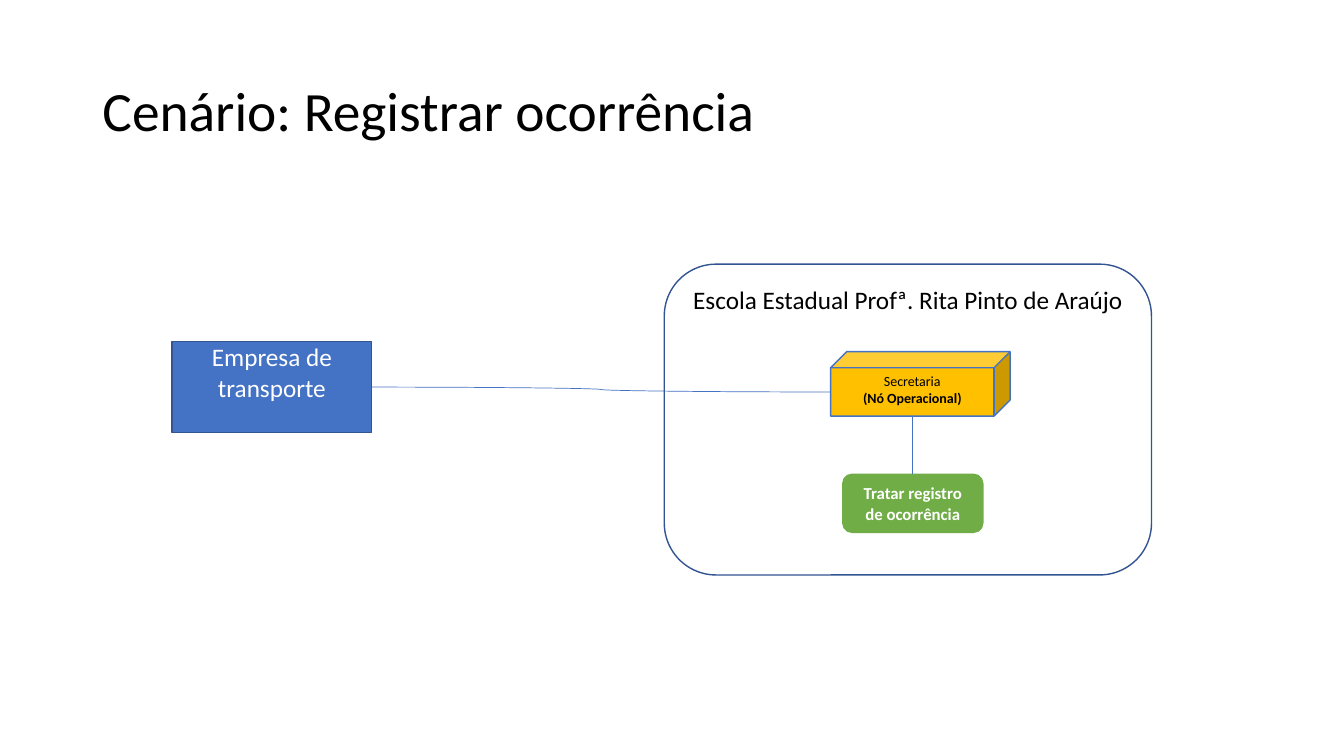
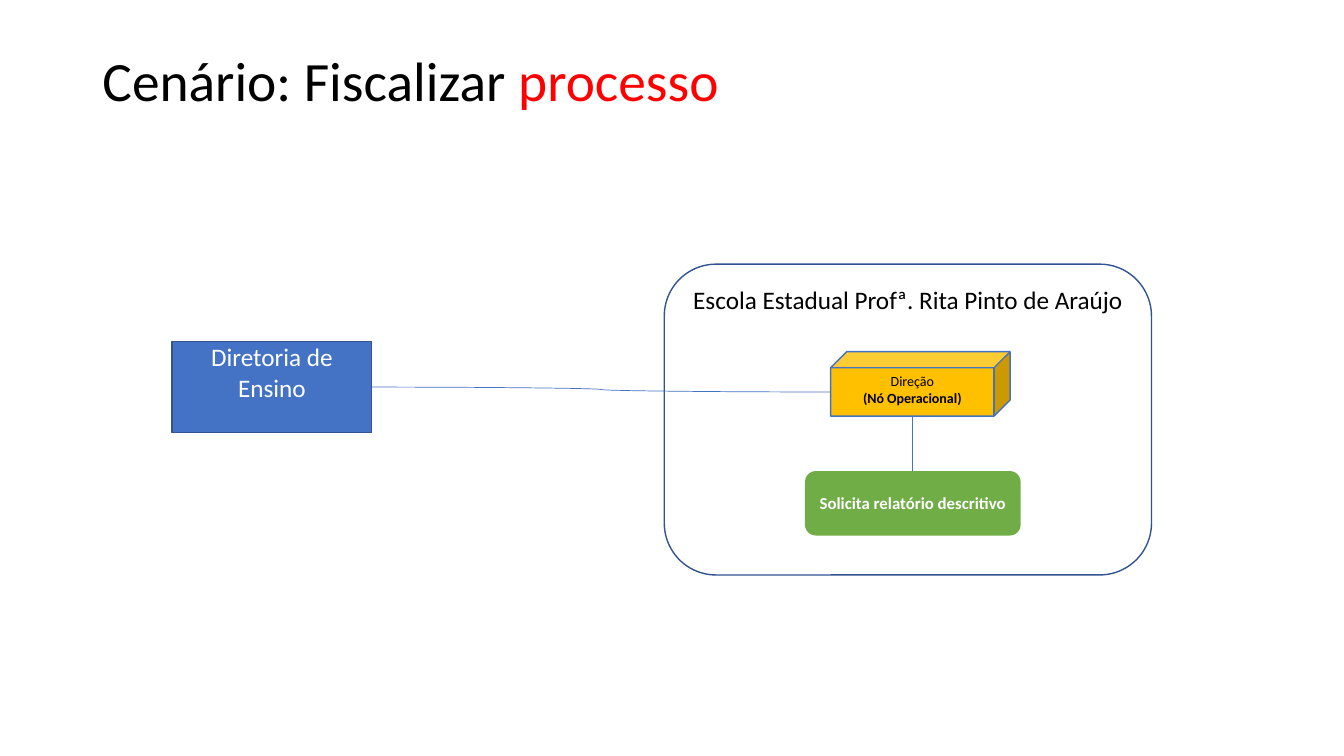
"""Builds two scenario slides linking an outside actor to a school node and its activity."""
from lxml import etree
from pptx import Presentation
from pptx.dml.color import RGBColor
from pptx.enum import shapes, text
from pptx.oxml.ns import qn
from pptx.util import Pt

BLACK = RGBColor(0x00, 0x00, 0x00)
WHITE = RGBColor(0xFF, 0xFF, 0xFF)
RED = RGBColor(0xFF, 0x00, 0x00)
BLUE = RGBColor(0x44, 0x72, 0xC4)
DARK_BLUE = RGBColor(0x32, 0x54, 0x91)
GOLD = RGBColor(0xFF, 0xC0, 0x00)
GREEN = RGBColor(0x70, 0xAD, 0x47)
FONT = "Calibri"

SCHOOL = "Escola Estadual Profª. Rita Pinto de Araújo"
NODE_KIND = "(Nó Operacional)"
SCENARIOS = [
    {
        "title": [("Cenário: Registrar ocorrência", BLACK)],
        "title_top": 29,
        "actor": "Empresa de transporte",
        "node": "Secretaria",
        "activity": "Tratar registro de ocorrência",
        "activity_size": (101, 42.5),
    },
    {
        "title": [("Cenário: Fiscalizar ", BLACK), ("processo", RED)],
        "title_top": 7.5,
        "actor": "Diretoria de Ensino",
        "node": "Direção",
        "activity": "Solicita relatório descritivo",
        "activity_size": (154, 46),
    },
]

TITLE_LEFT, TITLE_WIDTH, TITLE_HEIGHT = 66, 828, 104.4
ACTOR_BOX = (123, 244, 142.5, 65)
NODE_BOX = (593.3, 251.2, 128.2, 46)
SCHOOL_BOX = (474.5, 188.7, 348, 222)
NODE_CENTER_X, NODE_CENTER_Y = 652, 280
ACTIVITY_CENTER_Y = 359.5


def set_title(slide, runs, top):
    title = slide.shapes.title
    title.left, title.top = Pt(TITLE_LEFT), Pt(top)
    title.width, title.height = Pt(TITLE_WIDTH), Pt(TITLE_HEIGHT)
    frame = title.text_frame
    frame.auto_size = text.MSO_AUTO_SIZE.NONE
    frame.vertical_anchor = text.MSO_ANCHOR.MIDDLE
    paragraph = frame.paragraphs[0]
    paragraph.alignment = text.PP_ALIGN.LEFT
    paragraph.line_spacing = 0.9
    paragraph.font.name, paragraph.font.size = FONT, Pt(39.6)
    for words, color in runs:
        run = paragraph.add_run()
        run.text = words
        run.font.color.rgb = color


def add_box(slide, kind, box, lines, size, color, fill=None, line=None,
            anchor=text.MSO_ANCHOR.TOP):
    """Adds a shape whose lines are (words, bold) pairs."""
    shape = slide.shapes.add_shape(kind, *map(Pt, box))
    shape.shadow.inherit = False
    if fill is None:
        shape.fill.background()
    else:
        shape.fill.solid()
        shape.fill.fore_color.rgb = fill
    if line is None:
        shape.line.fill.background()
    else:
        shape.line.color.rgb = line
        shape.line.width = Pt(1)
    frame = shape.text_frame
    frame.word_wrap = True
    frame.vertical_anchor = anchor
    for index, (words, bold) in enumerate(lines):
        paragraph = frame.add_paragraph() if index else frame.paragraphs[0]
        paragraph.text = words
        paragraph.alignment = text.PP_ALIGN.CENTER
        font = paragraph.font
        font.name, font.size, font.bold = FONT, Pt(size), bold
        font.color.rgb = color
    return shape


def add_link(slide, kind, start, end):
    link = slide.shapes.add_connector(kind, *map(Pt, start + end))
    link.line.color.rgb = BLUE
    link.line.width = Pt(0.5)
    etree.SubElement(link._element.spPr, qn("a:effectLst"))


def build_scenario(presentation, scenario):
    slide = presentation.slides.add_slide(presentation.slide_layouts[5])
    set_title(slide, scenario["title"], scenario["title_top"])
    preset = shapes.MSO_SHAPE
    width, height = scenario["activity_size"]
    activity_top = ACTIVITY_CENTER_Y - height / 2
    activity_box = (NODE_CENTER_X - width / 2, activity_top, width, height)
    actor_left, actor_top, actor_width, actor_height = ACTOR_BOX
    node_left, node_top, _, node_height = NODE_BOX

    add_box(slide, preset.CUBE, NODE_BOX,
            [(scenario["node"], False), (NODE_KIND, True)], 10, BLACK, GOLD, BLUE)
    add_box(slide, preset.ROUNDED_RECTANGLE, activity_box,
            [(scenario["activity"], True)], 12, WHITE, GREEN,
            anchor=text.MSO_ANCHOR.MIDDLE)
    actor = add_box(slide, preset.RECTANGLE, ACTOR_BOX,
                    [(scenario["actor"], False)], 18, WHITE, BLUE, DARK_BLUE)
    actor.text_frame.margin_top = Pt(0)
    add_link(slide, shapes.MSO_CONNECTOR.CURVE,
             (actor_left + actor_width, actor_top + actor_height / 2),
             (node_left, NODE_CENTER_Y))
    add_box(slide, preset.ROUNDED_RECTANGLE, SCHOOL_BOX,
            [(SCHOOL, False)], 18, BLACK, line=DARK_BLUE)
    add_link(slide, shapes.MSO_CONNECTOR.STRAIGHT,
             (NODE_CENTER_X, node_top + node_height), (NODE_CENTER_X, activity_top))


def main():
    presentation = Presentation()
    presentation.slide_width, presentation.slide_height = Pt(960), Pt(540)
    for scenario in SCENARIOS:
        build_scenario(presentation, scenario)
    presentation.save("out.pptx")


if __name__ == "__main__":
    main()
